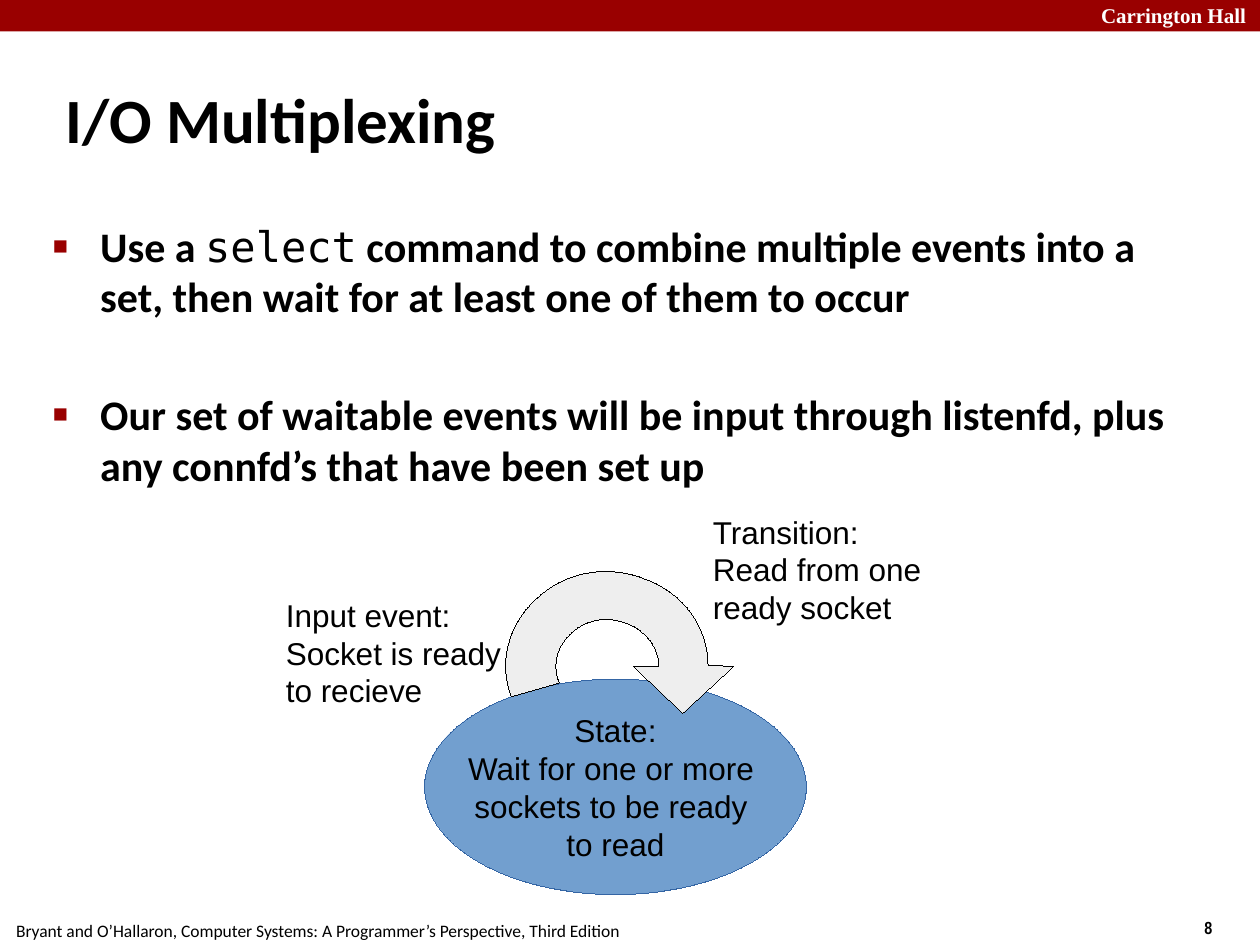
from dataclasses import dataclass

import lxml.etree
import pptx
import pptx.dml.color
import pptx.enum.shapes
import pptx.enum.text
import pptx.oxml.ns
import pptx.util

Inches, Pt = pptx.util.Inches, pptx.util.Pt
RGBColor = pptx.dml.color.RGBColor
MSO_SHAPE = pptx.enum.shapes.MSO_SHAPE
MSO_ANCHOR = pptx.enum.text.MSO_ANCHOR
MSO_AUTO_SIZE = pptx.enum.text.MSO_AUTO_SIZE
PP_ALIGN = pptx.enum.text.PP_ALIGN
qn = pptx.oxml.ns.qn

RED = RGBColor(0x99, 0x00, 0x00)
BLACK = RGBColor(0x00, 0x00, 0x00)
WHITE = RGBColor(0xFF, 0xFF, 0xFF)
BLUE = RGBColor(0x72, 0x9F, 0xCF)
DARK_BLUE = RGBColor(0x34, 0x65, 0xA4)
GRAY = RGBColor(0xEE, 0xEE, 0xEE)
HANGING = Inches(3 / 8)


@dataclass
class Label:
    text: str
    left: float
    top: float
    width: float
    height: float
    size: int = 18
    font: str = "Arial"
    color: RGBColor = BLACK
    bold: bool = False


@dataclass
class Bullet:
    runs: list[tuple[str, bool]]  # text, is code
    space_before: float


HEADER = Label("Carrington Hall", 8.64, -0.03, 1.43, 0.3, 12, "Times New Roman", WHITE, True)
LABELS = [
    Label("8", 9.46, 7.23, 0.75, 0.27, 10, "Arial Narrow", bold=True),
    Label("Bryant and O’Hallaron, Computer Systems: A Programmer’s Perspective, Third Edition",
          0.03, 7.25, 5, 0.27, 10, "Calibri"),
    Label("Input event: Socket is ready to recieve", 2.17, 4.68, 2, 0.94),
    Label("Transition:\vRead from one \vready socket", 5.56, 4.02, 2, 0.94),
]
BULLETS = [
    Bullet([("Use a ", False), ("select", True),
            (" command to combine multiple events into a set, "
             "then wait for at least one of them to occur", False)], 4.8),
    Bullet([("Our set of waitable events will be input through listenfd, "
             "plus any connfd’s that have been set up", False)], 38.5),
]

# Loop arrow: each segment is one point (line) or three (Bézier curve)
LOOP_START = (5.23, 5.29)
LOOP_SEGMENTS = [
    [(5.23, 5.14), (5.13, 5.01), (4.98, 4.95)],
    [(4.83, 4.89), (4.66, 4.91), (4.54, 5.02)],
    [(4.42, 5.12), (4.38, 5.28), (4.44, 5.42)],
    [(4.06, 5.53)],
    [(3.95, 5.25), (4.04, 4.94), (4.27, 4.74)],
    [(4.5, 4.53), (4.84, 4.48), (5.13, 4.6)],
    [(5.43, 4.71), (5.62, 4.98), (5.62, 5.28)],
    [(5.82, 5.29)],
    [(5.42, 5.66)],
    [(5.03, 5.29)],
]


def set_font(font, name: str, size: int, color: RGBColor, bold: bool = False) -> None:
    font.name, font.size, font.bold = name, Pt(size), bold
    font.color.rgb = color


def place(sp, left: float, top: float, width: float, height: float) -> None:
    sp.left, sp.top = Inches(left), Inches(top)
    sp.width, sp.height = Inches(width), Inches(height)


def paint(sp, fill: RGBColor, line: RGBColor | None = None) -> None:
    sp.shadow.inherit = False
    sp.fill.solid()
    sp.fill.fore_color.rgb = fill
    if line is None:
        sp.line.fill.background()
    else:
        sp.line.color.rgb = line
        # A hairline needs its zero width written out
        sp.element.spPr.find(qn("a:ln")).set("w", "0")


def add_label(s, label: Label) -> None:
    sp = s.shapes.add_textbox(Inches(label.left), Inches(label.top),
                              Inches(label.width), Inches(label.height))
    sp.text_frame.word_wrap = True
    p = sp.text_frame.paragraphs[0]
    p.text = label.text
    set_font(p.font, label.font, label.size, label.color, label.bold)


def add_bullet(p, bullet: Bullet) -> None:
    p.space_before = Pt(bullet.space_before)
    set_font(p.font, "Calibri", 24, BLACK, True)
    for text, is_code in bullet.runs:
        r = p.add_run()
        r.text = text
        if is_code:
            r.font.name, r.font.bold = "DejaVu Sans Mono", False
    pPr = p._p.get_or_add_pPr()
    pPr.set("marL", str(HANGING))
    pPr.set("indent", str(-HANGING))
    marks = [lxml.etree.Element(qn(tag)) for tag in ("a:buClr", "a:buSzPct", "a:buFont", "a:buChar")]
    lxml.etree.SubElement(marks[0], qn("a:srgbClr")).set("val", str(RED))
    marks[1].set("val", "60000")
    marks[2].set("typeface", "Arial")
    marks[3].set("char", "■")
    at = pPr.index(pPr.find(qn("a:defRPr")))
    pPr[at:at] = marks


def add_loop_arrow(s) -> None:
    points = [(Inches(x), Inches(y)) for segment in LOOP_SEGMENTS for x, y in segment]
    builder = s.shapes.build_freeform(Inches(LOOP_START[0]), Inches(LOOP_START[1]), scale=1.0)
    builder.add_line_segments(points, close=True)
    sp = builder.convert_to_shape()
    paint(sp, GRAY, BLACK)

    # Join the three points of each curve into one Bézier segment
    lines = iter(list(sp.element.iter(qn("a:lnTo"))))
    for segment in LOOP_SEGMENTS:
        group = [next(lines) for _ in segment]
        if len(group) == 3:
            curve = lxml.etree.Element(qn("a:cubicBezTo"))
            group[0].addprevious(curve)
            for line in group:
                curve.append(line[0])
                line.getparent().remove(line)


def main() -> None:
    prs = pptx.Presentation()
    prs.slide_width, prs.slide_height = Inches(10), Inches(7.5)
    s = prs.slides.add_slide(prs.slide_layouts[1])

    # Header band
    band = s.shapes.add_shape(MSO_SHAPE.RECTANGLE, 0, 0, prs.slide_width, Inches(0.25))
    paint(band, RED)
    add_label(s, HEADER)

    # Title
    title = s.shapes.title
    place(title, 0.42, 0.62, 8.49, 0.63)
    tf = title.text_frame
    tf.auto_size = MSO_AUTO_SIZE.NONE
    tf.vertical_anchor = MSO_ANCHOR.MIDDLE
    p = tf.paragraphs[0]
    p.text, p.alignment = "I/O Multiplexing", PP_ALIGN.LEFT
    set_font(p.font, "Calibri", 36, BLACK, True)

    # Bullets
    body = s.placeholders[1]
    place(body, 0.32, 1.7, 9.08, 5.12)
    tf = body.text_frame
    tf.auto_size = MSO_AUTO_SIZE.NONE
    for i, bullet in enumerate(BULLETS):
        add_bullet(tf.add_paragraph() if i else tf.paragraphs[0], bullet)

    # State diagram
    state = s.shapes.add_shape(MSO_SHAPE.OVAL, Inches(3.37), Inches(5.39), Inches(3.03), Inches(1.71))
    paint(state, BLUE, DARK_BLUE)
    tf = state.text_frame
    tf.word_wrap = False
    tf.vertical_anchor = MSO_ANCHOR.MIDDLE
    tf.text = "State:\nWait for one or more \vsockets to be ready \vto read"
    for p in tf.paragraphs:
        p.alignment = PP_ALIGN.CENTER
        set_font(p.font, "Arial", 18, BLACK)
    add_loop_arrow(s)

    # Footer and diagram labels
    for label in LABELS:
        add_label(s, label)

    prs.save("out.pptx")


if __name__ == "__main__":
    main()
